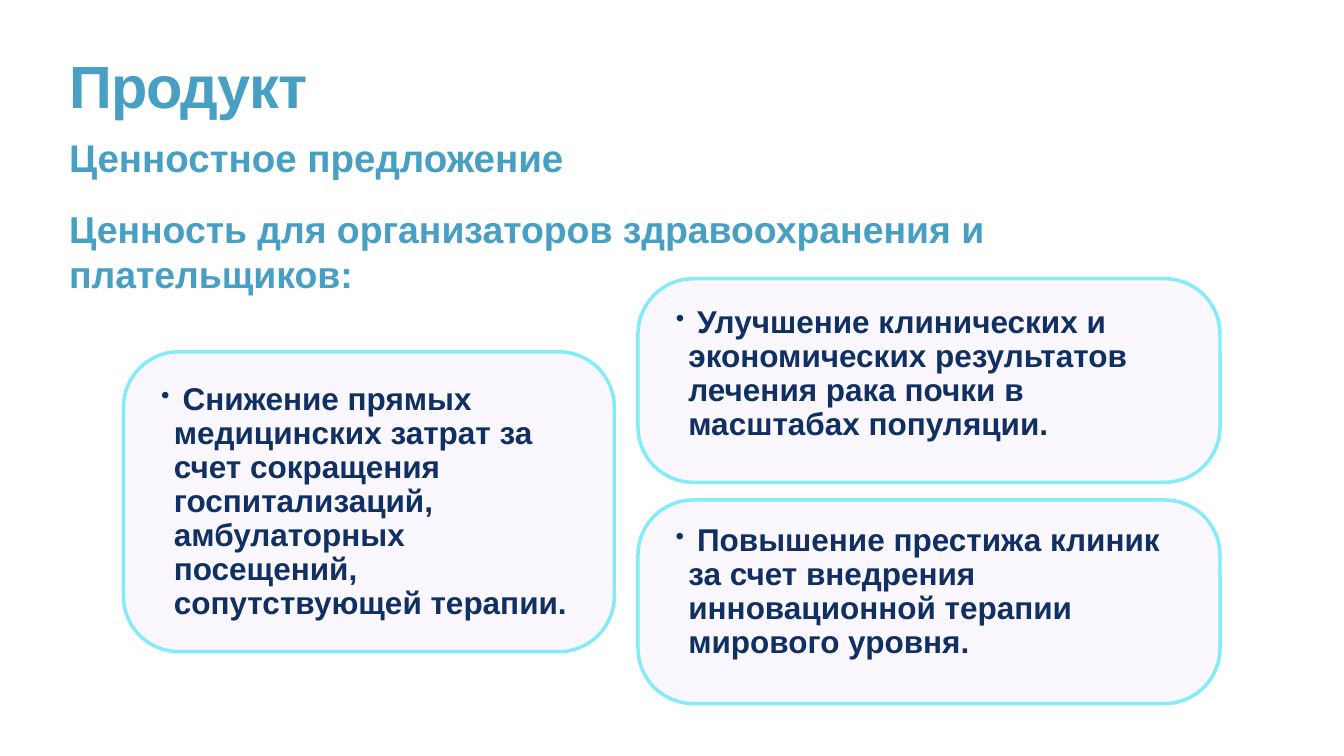
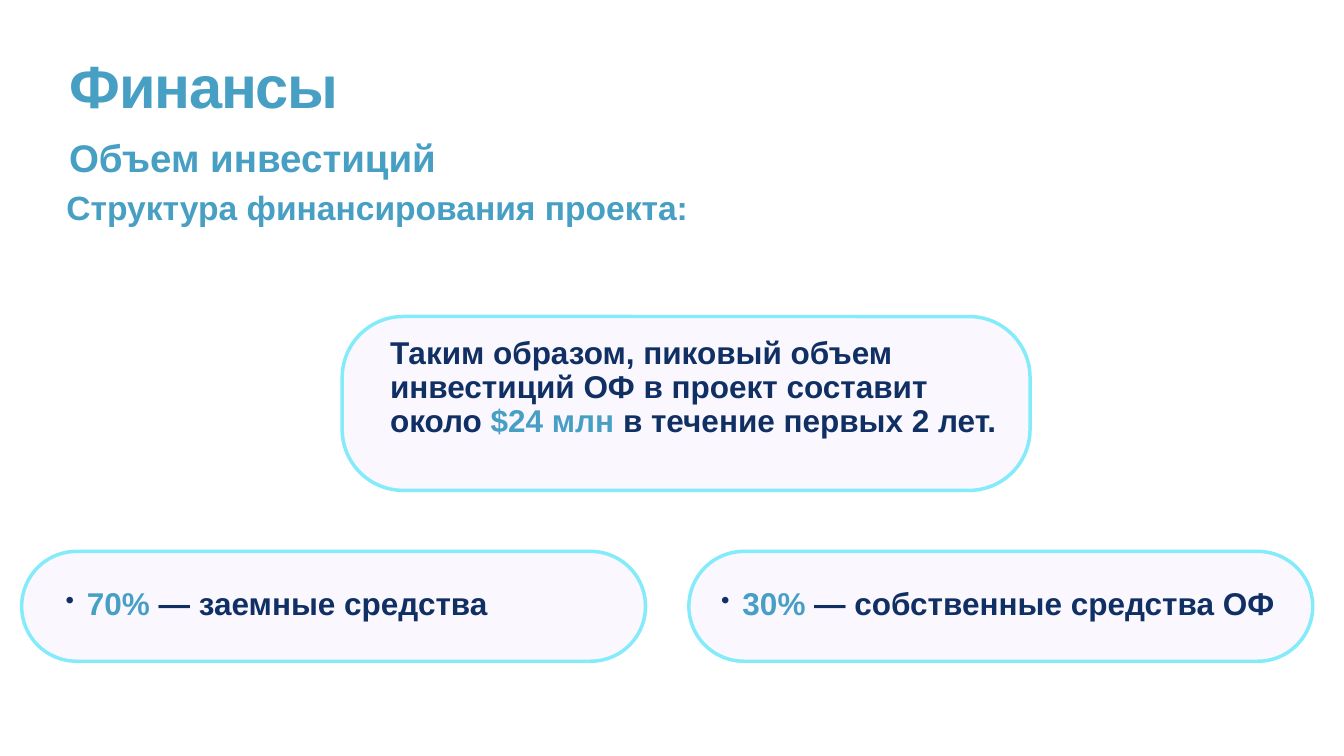
from lxml import etree
from pptx import Presentation
from pptx.dml.color import RGBColor
from pptx.enum import shapes, text
from pptx.oxml import ns
from pptx.util import Inches, Pt

BLUE = RGBColor(0x47, 0x9F, 0xC3)
NAVY = RGBColor(0x10, 0x30, 0x64)
CYAN = RGBColor(0x83, 0xEB, 0xF9)
LILAC = RGBColor(0xED, 0xE3, 0xFF)
FONT = "Arial"
LEFT, HEADING_WIDTH = 1.32, 24.03


def add_bullet(paragraph):
    """Give the paragraph a small bullet with a hanging indent."""
    properties = paragraph._p.get_or_add_pPr()
    properties.set("marL", str(Inches(0.25)))
    properties.set("indent", str(Inches(-0.25)))
    etree.SubElement(properties, ns.qn("a:buSzPct")).set("val", "80000")
    etree.SubElement(properties, ns.qn("a:buChar")).set("char", "•")


def add_text(slide, box, parts, size=45, color=NAVY, line_spacing=0.9, inset=0.06,
             tracking=None, bullet=False, anchor=text.MSO_ANCHOR.TOP):
    """Add bold text; parts is a string or a list of (string, color) pairs."""
    frame = slide.shapes.add_textbox(*map(Inches, box)).text_frame
    frame.word_wrap = True
    frame.vertical_anchor = anchor
    frame.margin_left = frame.margin_right = Inches(inset)
    frame.margin_top = frame.margin_bottom = Inches(inset)
    paragraph = frame.paragraphs[0]
    if bullet:
        add_bullet(paragraph)
    paragraph.line_spacing = line_spacing
    for string, part_color in [(parts, color)] if isinstance(parts, str) else parts:
        run = paragraph.add_run()
        run.text = string
        run.font.name = FONT
        run.font.size = Pt(size)
        run.font.bold = True
        run.font.color.rgb = part_color
        if tracking:
            run.font._element.set("spc", str(round(tracking * 100)))


def add_card(slide, box, corner):
    """Add a translucent rounded card; corner is the radius ratio."""
    card = slide.shapes.add_shape(shapes.MSO_SHAPE.ROUNDED_RECTANGLE, *map(Inches, box))
    card.adjustments[0] = corner
    card.shadow.inherit = False
    card.fill.solid()
    card.fill.fore_color.rgb = LILAC
    fill_color = card._element.spPr.find(".//" + ns.qn("a:srgbClr"))
    etree.SubElement(fill_color, ns.qn("a:alpha")).set("val", "27000")
    card.line.color.rgb = CYAN
    card.line.width = Pt(5)


def add_heading(slide, top, heading, size):
    add_text(slide, (LEFT, top, HEADING_WIDTH, 1.02), heading, size=size, color=BLUE,
             line_spacing=1.0, inset=0.05)


def add_titled_slide(presentation, title, subtitle):
    slide = presentation.slides.add_slide(presentation.slide_layouts[6])
    add_text(slide, (LEFT, 1.18, HEADING_WIDTH, 1.57), title, size=85, color=BLUE,
             line_spacing=0.8, tracking=-1.7)
    add_heading(slide, 2.6, subtitle, 55)
    return slide


def build_product(presentation):
    slide = add_titled_slide(presentation, "Продукт", "Ценностное предложение")
    add_heading(slide, 4.04, "Ценность для организаторов здравоохранения и плательщиков:", 53.4)
    benefits = [
        ((2.45, 6.98, 9.74, 5.95), 0.185, (3.14, 7.54, 8.37, 7.11),
         " Снижение прямых медицинских затрат за счет сокращения госпитализаций, "
         "амбулаторных посещений, сопутствующей терапии."),
        ((12.66, 5.53, 11.55, 4.04), 0.272, (13.35, 6.01, 10.52, 7.11),
         " Улучшение клинических и экономических результатов лечения рака почки "
         "в масштабах популяции."),
        ((12.66, 9.92, 11.55, 4.04), 0.272, (13.35, 10.35, 10.4, 7.11),
         " Повышение престижа клиник за счет внедрения инновационной терапии "
         "мирового уровня."),
    ]
    for card_box, corner, text_box, benefit in benefits:
        add_card(slide, card_box, corner)
        add_text(slide, text_box, benefit, bullet=True)


def build_finance(presentation):
    slide = add_titled_slide(presentation, "Финансы", "Объем инвестиций")
    add_text(slide, (1.26, 3.7, 22.64, 0.9), "Структура финансирования проекта:",
             size=48, color=BLUE, anchor=text.MSO_ANCHOR.MIDDLE)

    # Peak investment
    add_card(slide, (6.79, 6.28, 13.65, 3.45), 0.351)
    add_text(slide, (7.68, 6.63, 12.45, 4.49), [
        ("Таким образом, пиковый объем инвестиций ОФ в проект составит около ", NAVY),
        ("$24 млн", BLUE),
        (" в течение первых 2 лет.", NAVY)])

    # Funding sources
    sources = [(0.43, 1.24, "70%", " — заемные средства"),
               (13.67, 14.25, "30%", " — собственные средства ОФ")]
    for card_left, text_left, share, source in sources:
        add_card(slide, (card_left, 10.94, 12.38, 2.18), 0.5)
        add_text(slide, (text_left, 11.61, 12.02, 1.57),
                 [(" ", NAVY), (share, BLUE), (source, NAVY)], bullet=True)


def main():
    presentation = Presentation()
    presentation.slide_width = Inches(26.67)
    presentation.slide_height = Inches(15)
    build_product(presentation)
    build_finance(presentation)
    presentation.save("out.pptx")


if __name__ == "__main__":
    main()
